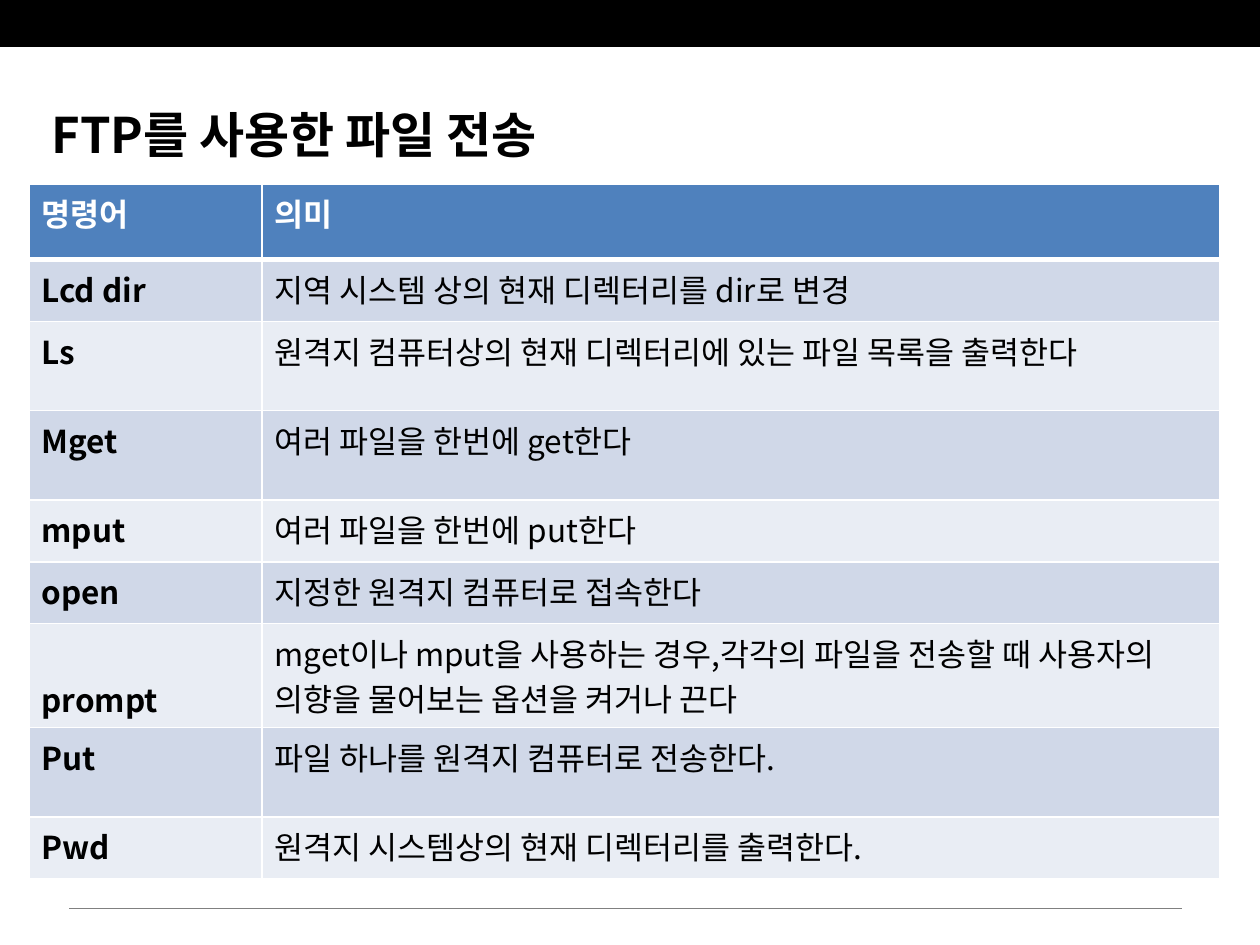
from lxml import etree
from pptx import Presentation
from pptx.dml.color import RGBColor
from pptx.enum.shapes import MSO_CONNECTOR, MSO_SHAPE
from pptx.enum.text import MSO_ANCHOR, MSO_AUTO_SIZE, PP_ALIGN
from pptx.oxml import parse_xml
from pptx.oxml.ns import nsdecls, qn
from pptx.util import Inches, Pt

STRAIGHT = MSO_CONNECTOR.STRAIGHT
RECTANGLE = MSO_SHAPE.RECTANGLE
LEFT = PP_ALIGN.LEFT
TOP, MIDDLE, BOTTOM = MSO_ANCHOR.TOP, MSO_ANCHOR.MIDDLE, MSO_ANCHOR.BOTTOM
NO_AUTOFIT = MSO_AUTO_SIZE.NONE

FONT = "Noto Sans CJK KR"
COLORS = {
    "black": "000000",
    "white": "FFFFFF",
    "rule": "808080",
    "header": "4F81BD",
    "odd": "D0D8E8",
    "even": "E9EDF4",
}
COLUMN_WIDTHS = [1.85, 7.6]
# Row height, command, meaning
ROWS = [
    (0.6, "명령어", "의미"),
    (0.49, "Lcd dir", "지역 시스템 상의 현재 디렉터리를 dir로 변경"),
    (0.71, "Ls", "원격지 컴퓨터상의 현재 디렉터리에 있는 파일 목록을 출력한다"),
    (0.71, "Mget", "여러 파일을 한번에 get한다"),
    (0.49, "mput", "여러 파일을 한번에 put한다"),
    (0.49, "open", "지정한 원격지 컴퓨터로 접속한다"),
    (0.82, "prompt", "mget이나 mput을 사용하는 경우,각각의 파일을 전송할 때 "
                     "사용자의 의향을 물어보는 옵션을 켜거나 끈다"),
    (0.71, "Put", "파일 하나를 원격지 컴퓨터로 전송한다."),
    (0.49, "Pwd", "원격지 시스템상의 현재 디렉터리를 출력한다."),
]


def style_paragraph(para, size, color, bold):
    """Format a whole paragraph, for Latin and Korean letters alike."""
    para.alignment = LEFT
    font = para.font
    font.name = FONT
    font.size = Pt(size)
    font.bold = bold
    font.color.rgb = RGBColor.from_string(COLORS[color])
    latin = para._p.pPr.find(qn("a:defRPr")).find(qn("a:latin"))
    latin.addnext(parse_xml(f'<a:ea {nsdecls("a")} typeface="{FONT}"/>'))


def add_borders(cell, widths):
    """Draw white borders; widths are points for left, right, top, bottom."""
    properties = cell._tc.get_or_add_tcPr()
    for index, (side, width) in enumerate(zip("LRTB", widths)):
        properties.insert(index, parse_xml(
            f'<a:ln{side} {nsdecls("a")} w="{Pt(width)}"><a:solidFill>'
            f'<a:srgbClr val="{COLORS["white"]}"/></a:solidFill></a:ln{side}>'))


deck = Presentation()
deck.slide_width, deck.slide_height = Inches(10), Inches(7.5)
page = deck.slides.add_slide(deck.slide_layouts[5])

# Top band and bottom rule
band = page.shapes.add_shape(RECTANGLE, 0, 0, Inches(10), Inches(0.36))
band.shadow.inherit = False
band.fill.solid()
band.fill.fore_color.rgb = RGBColor.from_string(COLORS["black"])
band.line.color.rgb = RGBColor.from_string(COLORS["black"])
band.line.width = Pt(2)

rule = page.shapes.add_connector(
    STRAIGHT, Inches(0.55), Inches(7.21), Inches(9.38), Inches(7.21))
rule.line.color.rgb = RGBColor.from_string(COLORS["rule"])
rule.line.width = Pt(0.75)
etree.SubElement(rule._element.spPr, qn("a:effectLst"))

# Title
title = page.shapes.title
title.left, title.top = Inches(0.31), Inches(0.78)
title.width, title.height = Inches(6.95), Inches(0.57)
title.text_frame.text = "FTP를 사용한 파일 전송"
title.text_frame.auto_size = NO_AUTOFIT
title.text_frame.vertical_anchor = MIDDLE
style_paragraph(title.text_frame.paragraphs[0], 28, "black", True)

# Command table
table = page.shapes.add_table(
    len(ROWS), len(COLUMN_WIDTHS), Inches(0.23), Inches(1.46),
    Inches(sum(COLUMN_WIDTHS)), Inches(sum(row[0] for row in ROWS))).table
table.first_col = True
for column, width in zip(table.columns, COLUMN_WIDTHS):
    column.width = Inches(width)

for row_index, (height, *texts) in enumerate(ROWS):
    table.rows[row_index].height = Inches(height)
    is_header = row_index == 0
    fill = "header" if is_header else "odd" if row_index % 2 else "even"
    top_width = 3 if row_index == 1 else 1
    bottom_width = 3 if is_header else 1
    for column_index, text in enumerate(texts):
        cell = table.cell(row_index, column_index)
        cell.text = text
        cell.vertical_anchor = BOTTOM if text == "prompt" else TOP
        cell.fill.solid()
        cell.fill.fore_color.rgb = RGBColor.from_string(COLORS[fill])
        add_borders(cell, (1, 1, top_width, bottom_width))
        style_paragraph(cell.text_frame.paragraphs[0], 18,
                        "white" if is_header else "black",
                        is_header or column_index == 0)

deck.save("out.pptx")
